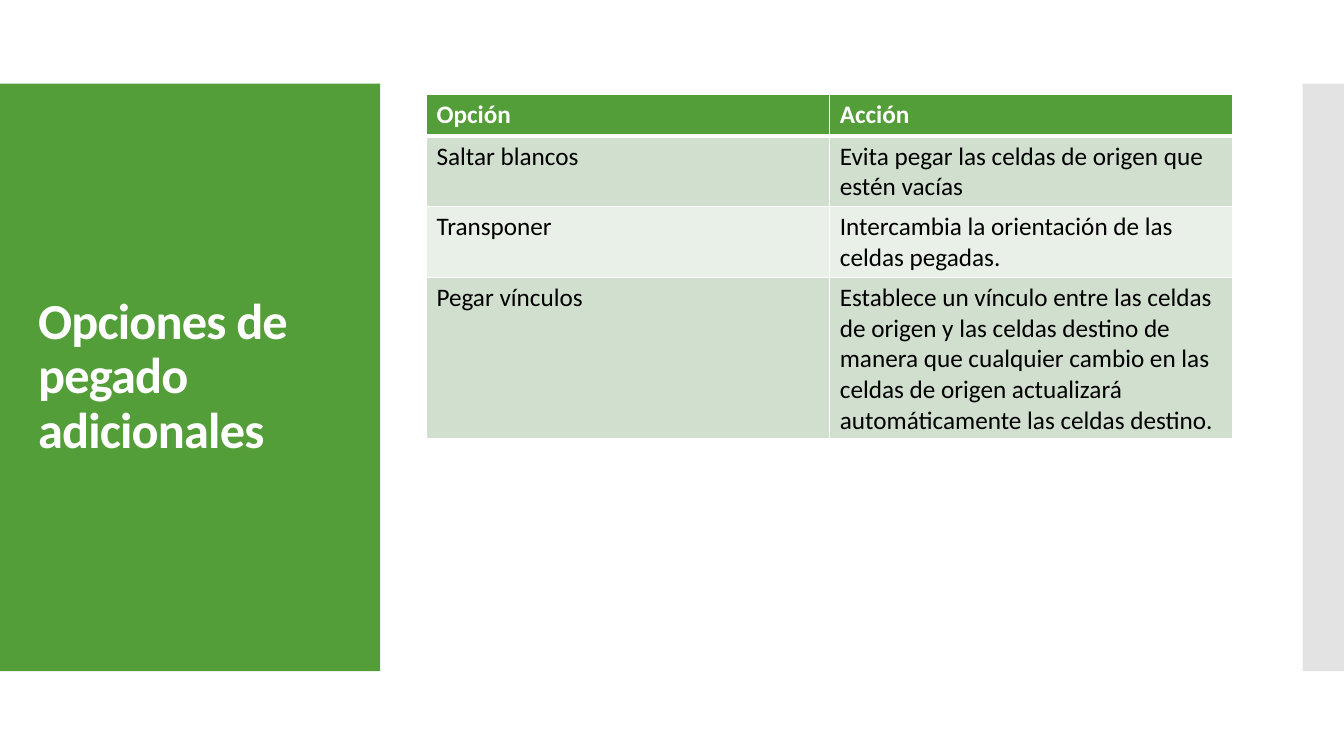
from dataclasses import dataclass

from lxml import etree
from pptx import Presentation
from pptx.dml.color import RGBColor
from pptx.enum.shapes import MSO_SHAPE
from pptx.enum.text import MSO_ANCHOR
from pptx.oxml.ns import qn
from pptx.util import Inches, Pt

RECT = MSO_SHAPE.RECTANGLE
MIDDLE = MSO_ANCHOR.MIDDLE

TITLE = "Opciones de pegado adicionales"
ROWS = [
    ("Opción", "Acción"),
    ("Saltar blancos", "Evita pegar las celdas de origen que estén vacías"),
    ("Transponer", "Intercambia la orientación de las celdas pegadas."),
    ("Pegar vínculos",
     "Establece un vínculo entre las celdas de origen y las celdas destino "
     "de manera que cualquier cambio en las celdas de origen actualizará "
     "automáticamente las celdas destino."),
]
ROW_HEIGHTS = (0.41, 0.7, 0.7, 1.6)
COL_WIDTH = 4


@dataclass(frozen=True)
class Theme:
    font: str = "Calibri"
    title_size: int = 36
    table_size: int = 18
    green: str = "549E39"
    gray: str = "C8C8C8"
    bands: tuple = ("D1DFCE", "E9F0E8")
    light: str = "FFFFFF"
    dark: str = "000000"
    thin: int = 1
    thick: int = 3


THEME = Theme()


def add_panel(slide, left, width, color, alpha=None):
    """Add a full-height side band, with optional opacity in percent."""
    sp = slide.shapes.add_shape(
        RECT, Inches(left), Inches(0.83), Inches(width), Inches(5.83))
    sp.shadow.inherit = False
    sp.fill.solid()
    sp.fill.fore_color.rgb = RGBColor.from_string(color)
    sp.line.fill.background()
    if alpha is not None:
        clr = sp.fill._xPr.find(f".//{qn('a:srgbClr')}")
        etree.SubElement(clr, qn("a:alpha"), val=str(alpha * 1000))


def format_run(r, size, color, bold):
    r.font.name = THEME.font
    r.font.size = Pt(size)
    r.font.bold = bold
    r.font.color.rgb = RGBColor.from_string(color)


def add_title(slide):
    box = slide.shapes.add_textbox(
        Inches(0.28), Inches(1.23), Inches(3.22), Inches(5.03))
    tf = box.text_frame
    tf.word_wrap = True
    tf.vertical_anchor = MIDDLE
    tf.text = TITLE
    p = tf.paragraphs[0]
    p.line_spacing = 0.9
    r = p.runs[0]
    format_run(r, THEME.title_size, THEME.light, True)
    r.font._element.set("spc", "-60")


def set_borders(cell, widths):
    """Draw the cell's borders; widths maps L, R, T, B to points."""
    tc_pr = cell._tc.get_or_add_tcPr()
    for side, width in widths.items():
        ln = etree.SubElement(tc_pr, qn(f"a:ln{side}"), w=str(Pt(width)))
        fill = etree.SubElement(ln, qn("a:solidFill"))
        etree.SubElement(fill, qn("a:srgbClr"), val=THEME.light)


def add_options_table(slide):
    n_cols = len(ROWS[0])
    table = slide.shapes.add_table(
        len(ROWS), n_cols, Inches(4.23), Inches(0.94),
        Inches(COL_WIDTH * n_cols), Inches(sum(ROW_HEIGHTS))).table
    for col in table.columns:
        col.width = Inches(COL_WIDTH)
    for i, (texts, height) in enumerate(zip(ROWS, ROW_HEIGHTS)):
        table.rows[i].height = Inches(height)
        header = i == 0
        fill = THEME.green if header else THEME.bands[(i - 1) % 2]
        borders = {"L": THEME.thin, "R": THEME.thin,
                   "T": THEME.thick if i == 1 else THEME.thin,
                   "B": THEME.thick if header else THEME.thin}
        for j, text in enumerate(texts):
            cell = table.cell(i, j)
            cell.text_frame.text = text
            format_run(cell.text_frame.paragraphs[0].runs[0], THEME.table_size,
                       THEME.light if header else THEME.dark, header)
            set_borders(cell, borders)
            cell.fill.solid()
            cell.fill.fore_color.rgb = RGBColor.from_string(fill)


def main():
    prs = Presentation()
    prs.slide_width, prs.slide_height = Inches(13.33), Inches(7.5)
    slide = prs.slides.add_slide(prs.slide_layouts[6])
    add_panel(slide, 0, 3.77, THEME.green)
    add_panel(slide, 12.92, 0.41, THEME.gray, alpha=50)
    add_title(slide)
    add_options_table(slide)
    prs.save("out.pptx")


if __name__ == "__main__":
    main()
